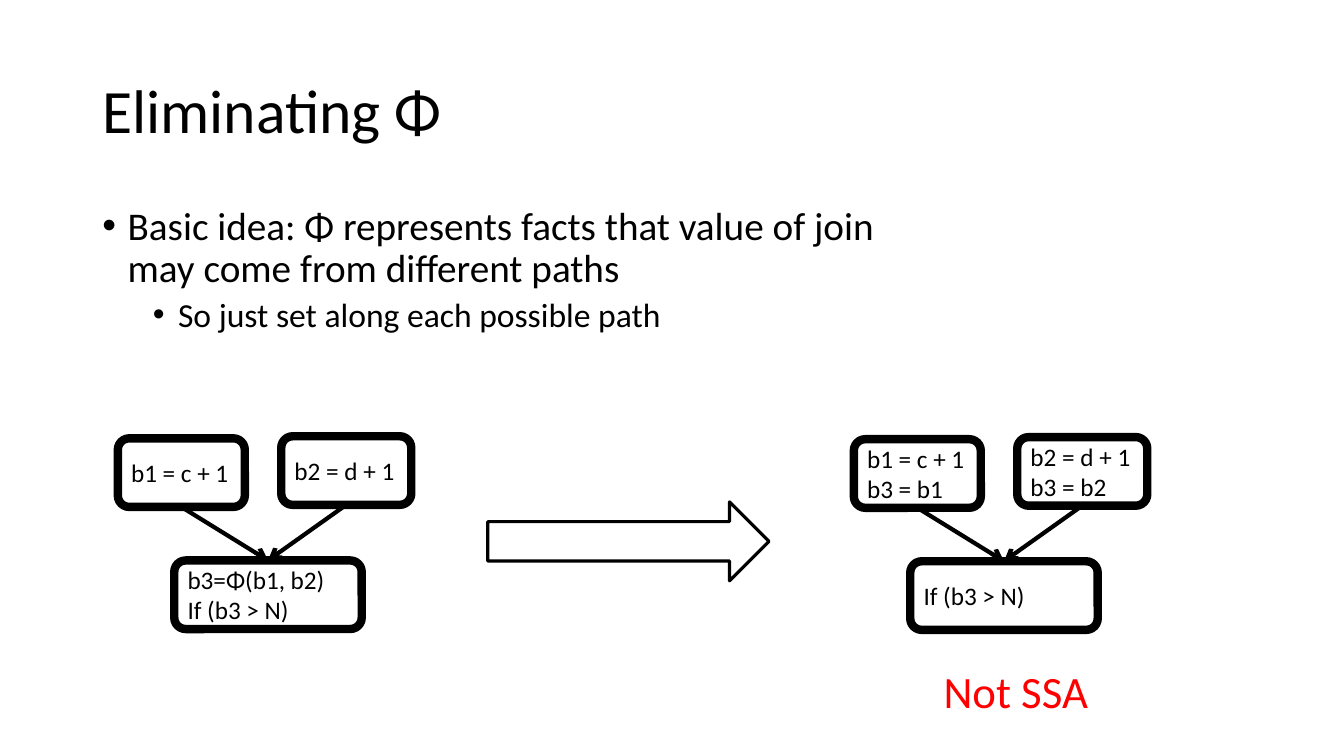
from dataclasses import dataclass

from lxml.etree import SubElement
from pptx import Presentation
from pptx.dml.color import RGBColor
from pptx.enum.shapes import MSO_CONNECTOR, MSO_SHAPE
from pptx.enum.text import MSO_ANCHOR, MSO_AUTO_SIZE, PP_ALIGN
from pptx.oxml.ns import qn
from pptx.util import Pt


@dataclass(frozen=True)
class Theme:
    font: str = "Calibri"
    ink: RGBColor = RGBColor(0, 0, 0)
    paper: RGBColor = RGBColor(255, 255, 255)
    warning: RGBColor = RGBColor(255, 0, 0)
    title: float = 44
    body: tuple = (28, 24)
    code: float = 18
    caption: float = 32
    block_line: float = 6
    edge_line: float = 3
    arrow_line: float = 2.25


THEME = Theme()


@dataclass(frozen=True)
class Box:
    left: float
    top: float
    width: float
    height: float

    def inside(self, left, top, width, height):
        return Box(self.left + left, self.top + top, width, height)

    def lengths(self):
        return [Pt(n) for n in (self.left, self.top, self.width, self.height)]


def place(shape, box):
    shape.left, shape.top, shape.width, shape.height = box.lengths()


def style_paragraph(paragraph, size, color=THEME.ink):
    paragraph.alignment = PP_ALIGN.LEFT
    for span in paragraph.runs:
        span.font.name = THEME.font
        span.font.size = Pt(size)
        span.font.color.rgb = color


def add_outlined(slide, kind, box, line_width):
    shape = slide.shapes.add_shape(kind, *box.lengths())
    shape.shadow.inherit = False
    shape.fill.background()
    shape.line.color.rgb = THEME.ink
    shape.line.width = Pt(line_width)
    return shape


# Title
def add_title(slide, box, text):
    title = slide.shapes.title
    place(title, box)
    frame = title.text_frame
    frame.text = text
    frame.vertical_anchor = MSO_ANCHOR.MIDDLE
    frame.paragraphs[0].line_spacing = 0.9
    style_paragraph(frame.paragraphs[0], THEME.title)


# Bulleted list, one level per item
def add_bullets(slide, box, items):
    body = slide.placeholders[1]
    place(body, box)
    frame = body.text_frame
    frame.text = "\n".join(items)
    frame.auto_size = MSO_AUTO_SIZE.NONE
    for level, paragraph in enumerate(frame.paragraphs):
        paragraph.level = level
        paragraph.line_spacing = 0.9
        paragraph.space_before = Pt(10 - 5 * level)
        style_paragraph(paragraph, THEME.body[level])
        properties = paragraph._p.get_or_add_pPr()
        properties.set("marL", str(Pt(18 + 36 * level)))
        properties.set("indent", str(Pt(-18)))
        SubElement(properties, qn("a:buChar"), char="•")


# Basic block with code lines
def add_block(slide, box, code):
    block = add_outlined(slide, MSO_SHAPE.ROUNDED_RECTANGLE, box, THEME.block_line)
    frame = block.text_frame
    frame.word_wrap = True
    frame.text = code
    frame.vertical_anchor = MSO_ANCHOR.MIDDLE
    for paragraph in frame.paragraphs:
        style_paragraph(paragraph, THEME.code)
    return block


# Control-flow edge from the bottom of one block to the top of another
def add_edge(slide, source, target):
    edge = slide.shapes.add_connector(MSO_CONNECTOR.STRAIGHT, 0, 0, 0, 0)
    edge.begin_connect(source, 2)
    edge.end_connect(target, 0)
    edge.line.color.rgb = THEME.ink
    edge.line.width = Pt(THEME.edge_line)
    SubElement(edge.line._get_or_add_ln(), qn("a:tailEnd"), type="arrow")
    SubElement(edge._element.spPr, qn("a:effectLst"))


# Two branches that meet in a join block
def add_flow_graph(slide, box, left_code, right_code, join_code):
    height = 49
    join = add_block(slide, box.inside(40.3, box.height - height, 133.9, height), join_code)
    branches = (
        (box.inside(0, 1.5, 90.7, height), left_code),
        (box.inside(116.7, 0, 92.9, height), right_code),
    )
    for branch_box, code in branches:
        add_edge(slide, add_block(slide, branch_box, code), join)


# Arrow between the two graphs
def add_transformation_arrow(slide, box):
    arrow = add_outlined(slide, MSO_SHAPE.RIGHT_ARROW, box, THEME.arrow_line)
    arrow.fill.solid()
    arrow.fill.fore_color.rgb = THEME.paper


# Caption under the result
def add_caption(slide, box, text):
    caption = slide.shapes.add_textbox(*box.lengths())
    frame = caption.text_frame
    frame.text = text
    frame.word_wrap = False
    frame.auto_size = MSO_AUTO_SIZE.SHAPE_TO_FIT_TEXT
    style_paragraph(frame.paragraphs[0], THEME.caption, THEME.warning)


def add_elimination_slide(deck):
    slide = deck.slides.add_slide(deck.slide_layouts[1])
    add_title(slide, Box(66, 28.75, 828, 104.4), "Eliminating Φ")
    add_bullets(slide, Box(66, 143.75, 828, 342.6), (
        "Basic idea: Φ represents facts that value of join \vmay come from different paths",
        "So just set along each possible path",
    ))
    add_flow_graph(slide, Box(84.2, 311.6, 209.6, 137.7),
                   "b1 = c + 1", "b2 = d + 1", "b3=Φ(b1, b2)\nIf (b3 > N)")
    add_flow_graph(slide, Box(609.9, 312.2, 209.6, 137.7),
                   "b1 = c + 1\nb3 = b1", "b2 = d + 1\nb3 = b2", "If (b3 > N)")
    add_transformation_arrow(slide, Box(348.4, 358.5, 200.9, 56.4))
    add_caption(slide, Box(666.9, 470.9, 118.8, 46.1), "Not SSA")


def main():
    deck = Presentation()
    deck.slide_width, deck.slide_height = Pt(960), Pt(540)
    add_elimination_slide(deck)
    deck.save("out.pptx")


if __name__ == "__main__":
    main()
